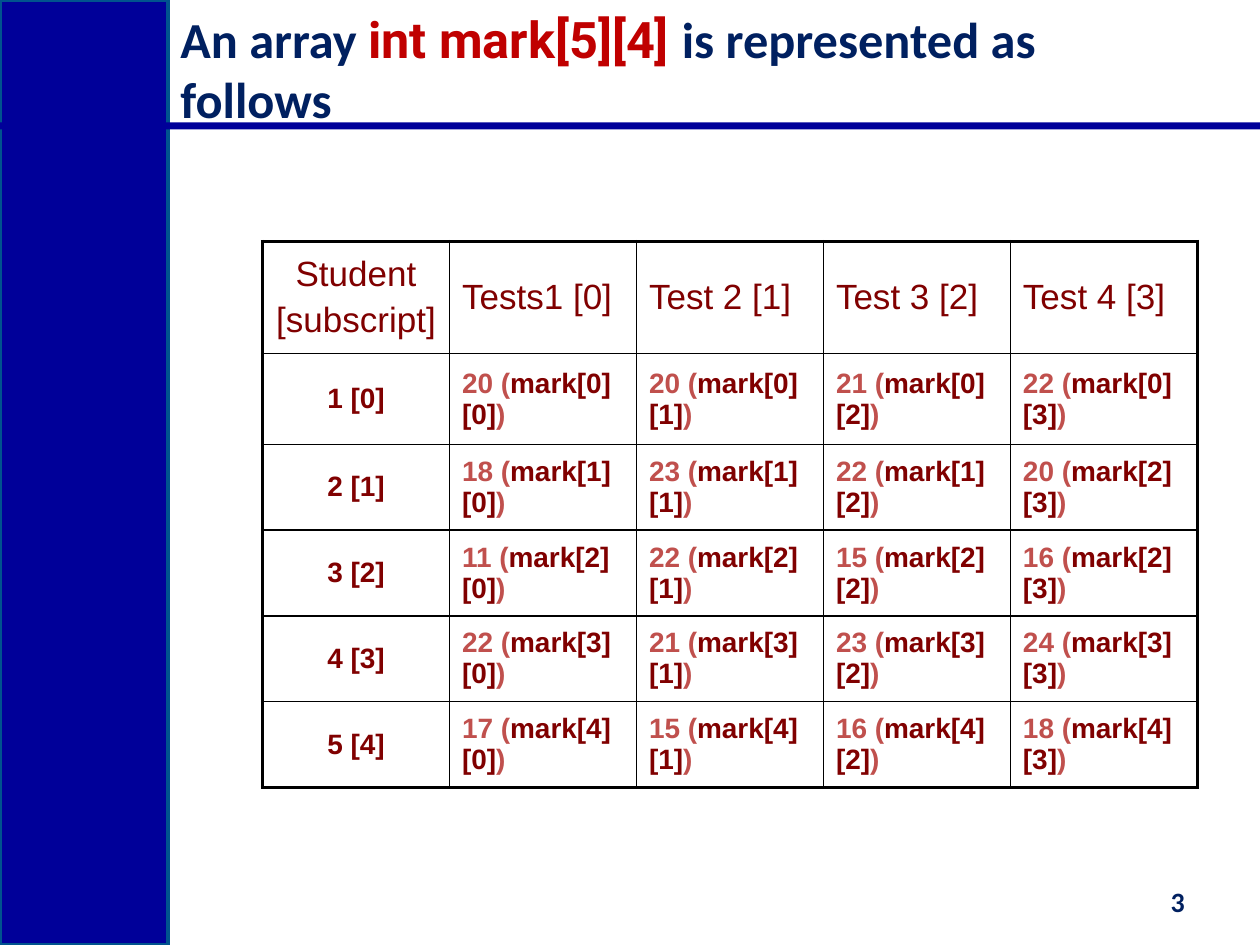
from dataclasses import dataclass
from typing import NamedTuple

from pptx import Presentation
from pptx.dml.color import RGBColor
from pptx.enum.shapes import MSO_SHAPE as Shape
from pptx.enum.text import MSO_ANCHOR as Anchor, PP_ALIGN as Align
from pptx.oxml.ns import qn
from pptx.util import Pt
from lxml.etree import SubElement

NAVY = "002060"
BLUE = "000099"
MAROON = "800000"
ROSE = "C0504D"
THIN, THICK = 1, 2.25


class Run(NamedTuple):
    text: str
    color: str
    font: str = "Arial"


class Box(NamedTuple):
    left: float
    top: float
    width: float
    height: float


@dataclass
class Bar:
    box: Box
    outline: str = ""


@dataclass
class Student:
    number: int
    scores: tuple[int, ...]
    subscripts: tuple[int, ...]


BARS = [
    Bar(Box(0, 0, 96, 540), outline="00538E"),
    Bar(Box(0, 70, 720, 4)),
]
TESTS = ["Tests1 [0]", "Test 2 [1]", "Test 3 [2]", "Test 4 [3]"]
STUDENTS = [
    Student(1, (20, 20, 21, 22), (0, 0, 0, 0)),
    Student(2, (18, 23, 22, 20), (1, 1, 1, 2)),
    Student(3, (11, 22, 15, 16), (2, 2, 2, 2)),
    Student(4, (22, 21, 23, 24), (3, 3, 3, 3)),
    Student(5, (17, 15, 16, 18), (4, 4, 4, 4)),
]
COLUMN_WIDTH = 106.85
ROW_HEIGHTS = [64, 52, 49, 49, 49, 49]


def rgb(value: str) -> RGBColor:
    return RGBColor.from_string(value)


def write(frame, *paragraphs: list[Run], size: float, bold=False, align=Align.LEFT, gap=0):
    for index, runs in enumerate(paragraphs):
        paragraph = frame.add_paragraph() if index else frame.paragraphs[0]
        paragraph.alignment = align
        if index:
            paragraph.space_before = Pt(gap)
        for part in runs:
            run = paragraph.add_run()
            run.text = part.text
            run.font.name = part.font
            run.font.size = Pt(size)
            run.font.bold = bold
            run.font.color.rgb = rgb(part.color)


def add_bar(slide, bar: Bar):
    shape = slide.shapes.add_shape(Shape.RECTANGLE, *map(Pt, bar.box))
    shape.shadow.inherit = False
    shape.fill.solid()
    shape.fill.fore_color.rgb = rgb(BLUE)
    if bar.outline:
        shape.line.color.rgb = rgb(bar.outline)
        shape.line.width = Pt(2)
    else:
        shape.line.fill.background()


def add_text(slide, box: Box, runs: list[Run], **style):
    frame = slide.shapes.add_textbox(*map(Pt, box)).text_frame
    frame.word_wrap = True
    frame.vertical_anchor = Anchor.MIDDLE
    write(frame, runs, bold=True, **style)


def add_borders(cell, widths: dict[str, float]):
    properties = cell._tc.get_or_add_tcPr()
    for side, width in widths.items():
        line = SubElement(properties, qn(f"a:ln{side}"), w=str(Pt(width)))
        fill = SubElement(line, qn("a:solidFill"))
        SubElement(fill, qn("a:srgbClr"), val="000000")


def add_marks_table(slide):
    columns = len(TESTS) + 1
    box = Box(150, 138, COLUMN_WIDTH * columns, sum(ROW_HEIGHTS))
    table = slide.shapes.add_table(len(ROW_HEIGHTS), columns, *map(Pt, box)).table
    table.first_row = table.horz_banding = False
    for column in table.columns:
        column.width = Pt(COLUMN_WIDTH)
    for row, height in zip(table.rows, ROW_HEIGHTS):
        row.height = Pt(height)

    last_row, last_column = len(ROW_HEIGHTS) - 1, columns - 1
    for r in range(last_row + 1):
        for c in range(columns):
            cell = table.cell(r, c)
            cell.vertical_anchor = Anchor.MIDDLE
            outer = {"L": c == 0, "R": c == last_column, "T": r == 0, "B": r == last_row}
            add_borders(cell, {side: THICK if edge else THIN for side, edge in outer.items()})
            cell.fill.background()

    write(table.cell(0, 0).text_frame, [Run("Student", MAROON)], [Run("[subscript]", MAROON)],
          size=20, align=Align.CENTER, gap=4)
    for c, test in enumerate(TESTS, 1):
        write(table.cell(0, c).text_frame, [Run(test, MAROON)], size=20)
    for r, student in enumerate(STUDENTS, 1):
        label = f"{student.number} [{student.number - 1}]"
        write(table.cell(r, 0).text_frame, [Run(label, MAROON)],
              size=16, bold=True, align=Align.CENTER)
        for c, (score, subscript) in enumerate(zip(student.scores, student.subscripts)):
            mark = [Run(f"{score} (", ROSE), Run(f"mark[{subscript}][{c}]", MAROON), Run(")", ROSE)]
            write(table.cell(r, c + 1).text_frame, mark, size=16, bold=True)


def main():
    deck = Presentation()
    deck.slide_width, deck.slide_height = Pt(720), Pt(540)
    slide = deck.slides.add_slide(deck.slide_layouts[6])
    for bar in BARS:
        add_bar(slide, bar)
    add_marks_table(slide)
    title = [
        Run("An array ", NAVY, "Calibri"),
        Run("int mark[5][4] ", "C00000", "Roboto"),
        Run("is represented as follows", NAVY, "Calibri"),
    ]
    add_text(slide, Box(96, 12, 564, 54), title, size=28.8)
    add_text(slide, Box(630, 500.4, 54, 28.8), [Run("3", NAVY, "Calibri")],
             size=16, align=Align.RIGHT)
    deck.save("out.pptx")


if __name__ == "__main__":
    main()
